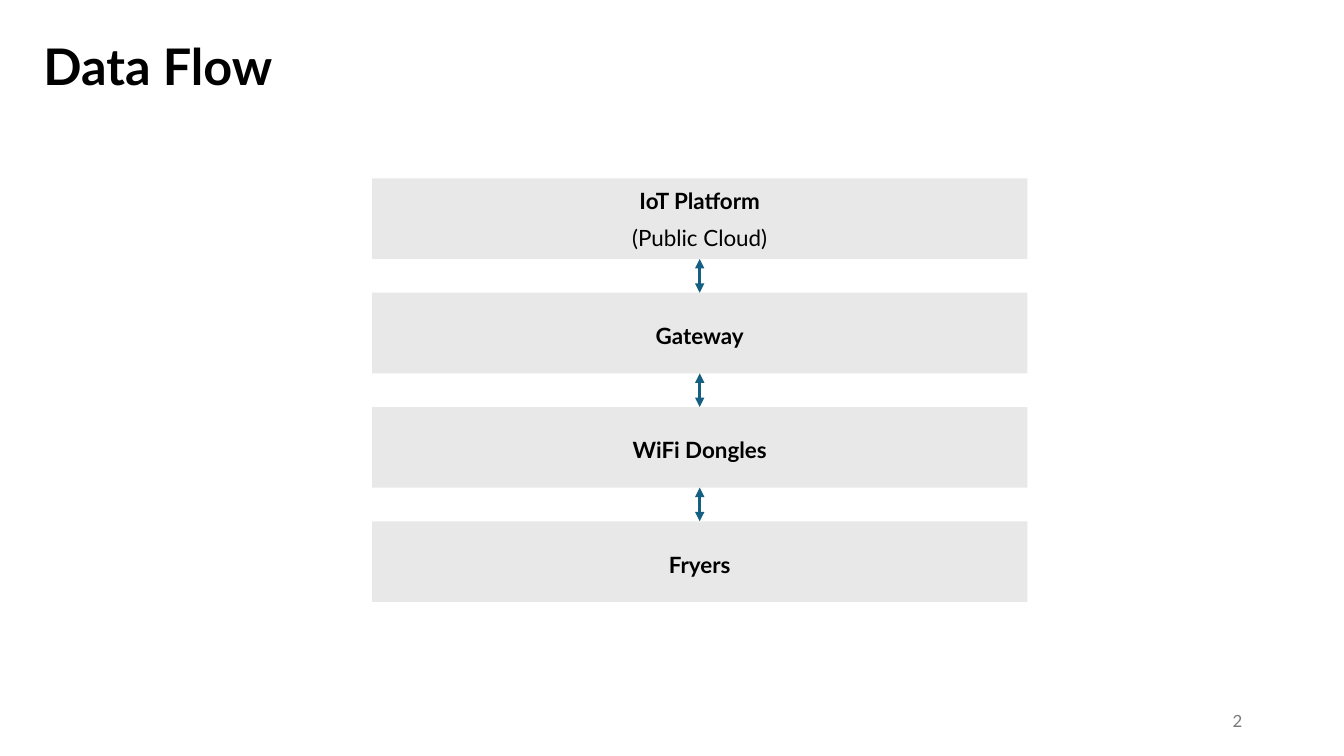
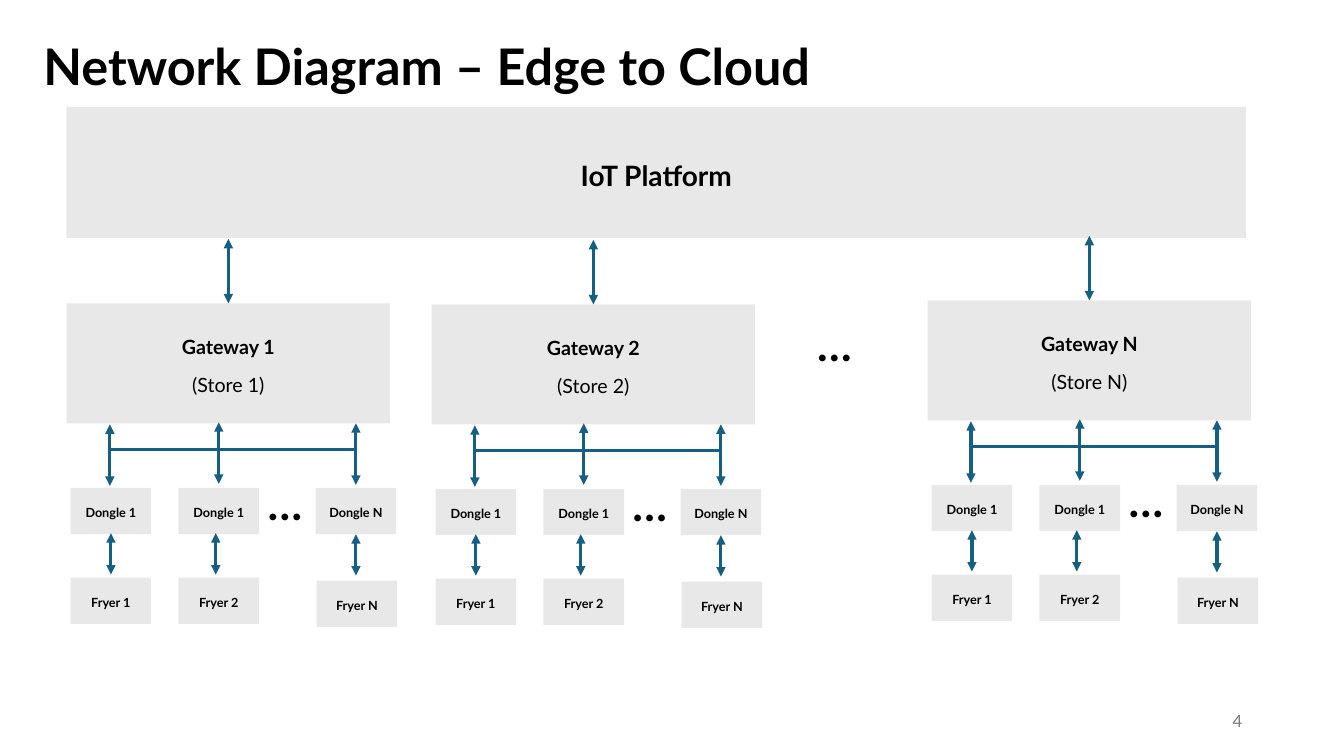
from pptx import Presentation
from pptx.dml.color import RGBColor
from pptx.enum import shapes, text
from pptx.oxml import parse_xml
from pptx.oxml.ns import nsdecls
from pptx.util import Inches, Pt

FONT = "Lato"
BLACK, GREY, BOX, BLUE = "000000", "797979", "E8E8E8", "156082"


def color(hex_string):
    return RGBColor.from_string(hex_string)


def style(p, size, bold=False, hex_string=BLACK, align=text.PP_ALIGN.CENTER,
          spacing=None, after=None):
    """Format a paragraph and its runs."""
    p.alignment = align
    p.line_spacing = spacing
    if after is not None:
        p.space_after = Pt(after)
    for r in p.runs:
        r.font.name, r.font.size, r.font.bold = FONT, Pt(size), bold
        r.font.color.rgb = color(hex_string)


def set_margins(tf, inches):
    tf.margin_left = tf.margin_right = Inches(inches)
    tf.margin_top = tf.margin_bottom = Inches(inches)


def add_box(s, x, y, w, h, lines, size, spacing=1.2):
    """Grey box: first line bold, further lines regular."""
    sp = s.shapes.add_shape(shapes.MSO_SHAPE.RECTANGLE, Inches(x), Inches(y),
                            Inches(w), Inches(h))
    sp.shadow.inherit = False
    sp.fill.solid()
    sp.fill.fore_color.rgb = color(BOX)
    sp.line.fill.background()
    tf = sp.text_frame
    tf.word_wrap = True
    tf.vertical_anchor = text.MSO_ANCHOR.MIDDLE
    set_margins(tf, 0.11)
    tf.text = "\n".join(lines)
    for i, p in enumerate(tf.paragraphs):
        style(p, size, bold=i == 0, spacing=spacing, after=7)


def add_line(parent, x1, y1, x2, y2, arrows=True):
    """Blue connector, by default with arrowheads at both ends."""
    c = parent.shapes.add_connector(shapes.MSO_CONNECTOR.STRAIGHT, Inches(x1),
                                    Inches(y1), Inches(x2), Inches(y2))
    c.line.color.rgb = color(BLUE)
    c.line.width = Pt(2.25)
    if arrows:
        ln = c.line._get_or_add_ln()
        for end in ("headEnd", "tailEnd"):
            ln.append(parse_xml(f'<a:{end} {nsdecls("a")} type="triangle"/>'))
    c._element.spPr.append(parse_xml(f'<a:effectLst {nsdecls("a")}/>'))


def add_ellipsis(s, x, y):
    tf = s.shapes.add_textbox(Inches(x), Inches(y), Inches(0.87),
                              Inches(0.55)).text_frame
    tf.word_wrap = False
    tf.vertical_anchor = text.MSO_ANCHOR.MIDDLE
    set_margins(tf, 0)
    tf.text = "…"
    style(tf.paragraphs[0], 32, bold=True, spacing=1.2, after=7.7)


def add_slide(prs, title, number):
    """Slide with the shared title style and page number."""
    s = prs.slides.add_slide(prs.slide_layouts[5])
    sp = s.shapes.title
    sp.left, sp.top = Inches(0.33), Inches(0.4)
    sp.width, sp.height = Inches(11.5), Inches(0.58)
    tf = sp.text_frame
    tf.text = title
    tf.auto_size = text.MSO_AUTO_SIZE.NONE
    tf.vertical_anchor = text.MSO_ANCHOR.MIDDLE
    style(tf.paragraphs[0], 36, bold=True, align=text.PP_ALIGN.LEFT, spacing=0.9)

    tf = s.shapes.add_textbox(Inches(9.42), Inches(6.95), Inches(3),
                              Inches(0.4)).text_frame
    tf.word_wrap = True
    tf.vertical_anchor = text.MSO_ANCHOR.MIDDLE
    tf.text = str(number)
    style(tf.paragraphs[0], 12, hex_string=GREY, align=text.PP_ALIGN.RIGHT)
    return s


def add_layer_stack(s, x, y, w, layers):
    """Stacked layers joined by two-way arrows."""
    h, gap = 0.8, 0.334
    for i, lines in enumerate(layers):
        top = y + i * (h + gap)
        add_box(s, x, top, w, h, lines, 16, spacing=1.2 if len(lines) == 1 else 1)
        if i:
            add_line(s, x + w / 2, top - gap, x + w / 2, top)


def add_store(s, x, y, store):
    """One store: gateway, dongles and fryers, from the gateway's corner."""
    w, h = 3.21, 1.19
    add_box(s, x, y, w, h, [f"Gateway {store}", f"(Store {store})"], 14)
    add_line(s, x + w / 2, y, x + w / 2, y - 0.64)

    # Dongles and fryers: names, left edges, fryer top, link position
    columns = [("Dongle 1", "Fryer 1", 0.04, 0.04, 2.72, 0.44, 2.28),
               ("Dongle 1", "Fryer 2", 1.11, 1.11, 2.72, 1.48, 2.28),
               ("Dongle N", "Fryer N", 2.47, 2.48, 2.75, 2.87, 2.29)]
    for dongle, fryer, dongle_x, fryer_x, fryer_y, link_x, link_y in columns:
        add_box(s, x + dongle_x, y + 1.83, 0.8, 0.46, [dongle], 9)
        add_box(s, x + fryer_x, y + fryer_y, 0.8, 0.46, [fryer], 9)
        add_line(s, x + link_x, y + link_y + 0.41, x + link_x, y + link_y)
    add_ellipsis(s, x + 1.73, y + 1.65)

    # Bus between gateway and dongles
    bus = s.shapes.add_group_shape()
    for drop_x, drop_y in [(0.43, 1.2), (1.51, 1.18), (2.87, 1.19)]:
        add_line(bus, x + drop_x, y + drop_y + 0.61, x + drop_x, y + drop_y)
    add_line(bus, x + 0.43, y + 1.45, x + 2.87, y + 1.45, arrows=False)


def data_flow(prs):
    s = add_slide(prs, "Data Flow", 2)
    add_layer_stack(s, 3.69, 1.77, 6.5, [["IoT Platform", "(Public Cloud)"],
                                         ["Gateway"], ["WiFi Dongles"], ["Fryers"]])


def network_diagram(prs):
    s = add_slide(prs, "Network Diagram – Edge to Cloud", 4)
    add_box(s, 0.66, 1.06, 11.7, 1.3, ["IoT Platform"], 20)
    for x, y, store in [(0.66, 3.01, "1"), (4.28, 3.02, "2"), (9.2, 2.98, "N")]:
        add_store(s, x, y, store)
    add_ellipsis(s, 7.84, 3.08)


def main():
    prs = Presentation()
    prs.slide_width, prs.slide_height = Inches(13.33), Inches(7.5)
    data_flow(prs)
    network_diagram(prs)
    prs.save("out.pptx")


if __name__ == "__main__":
    main()
